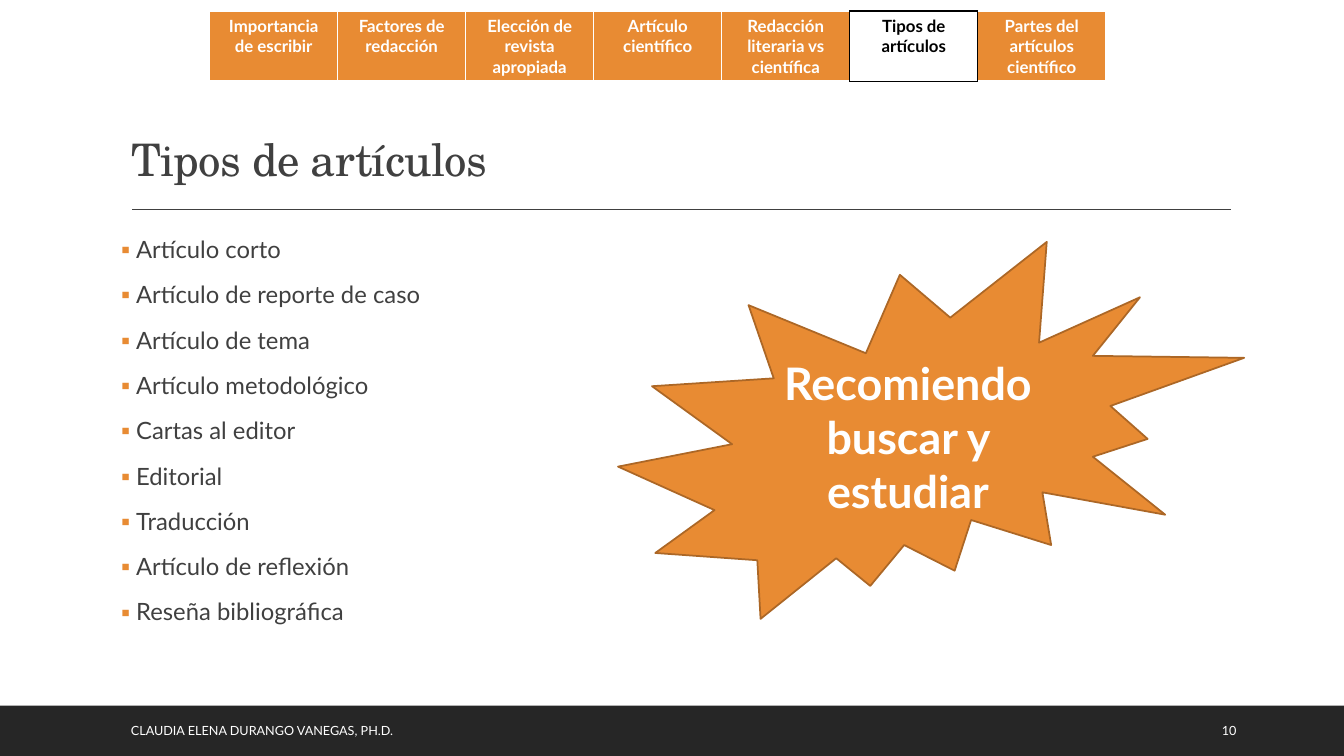
from dataclasses import dataclass

import pptx
import pptx.dml.color
import pptx.enum.shapes
import pptx.enum.text
import pptx.oxml
import pptx.oxml.ns
import pptx.util

Inches = pptx.util.Inches
Pt = pptx.util.Pt
RGB = pptx.dml.color.RGBColor.from_string
Shapes = pptx.enum.shapes.MSO_SHAPE
Align = pptx.enum.text.PP_ALIGN
Anchor = pptx.enum.text.MSO_ANCHOR


@dataclass(frozen=True)
class Theme:
    accent: str = "E88B33"
    accent_dark: str = "AC6726"
    ink: str = "404040"
    bar: str = "262626"
    white: str = "FFFFFF"
    black: str = "000000"
    heading_font: str = "TeX Gyre Schola"
    body_font: str = "Lato"
    heading_size: float = 32
    list_size: float = 17
    tab_size: float = 12
    footer_size: float = 9


@dataclass(frozen=True)
class Box:
    left: float
    top: float
    width: float
    height: float

    def lengths(self) -> tuple:
        return tuple(Inches(v) for v in (self.left, self.top, self.width, self.height))


@dataclass(frozen=True)
class FooterText:
    text: str
    box: Box


THEME = Theme()
TABS = [
    "Importancia de escribir",
    "Factores de redacción",
    "Elección de revista apropiada",
    "Artículo científico",
    "Redacción literaria vs científica",
    "Tipos de artículos",
    "Partes del artículos científico",
]
CURRENT_TAB = 5
ARTICLE_TYPES = [
    "Artículo corto",
    "Artículo de reporte de caso",
    "Artículo de tema",
    "Artículo metodológico",
    "Cartas al editor",
    "Editorial",
    "Traducción",
    "Artículo de reflexión",
    "Reseña bibliográfica",
]
FOOTERS = [
    FooterText("CLAUDIA ELENA DURANGO VANEGAS, PH.D.", Box(1.2, 7.05, 7.46, 0.4)),
    FooterText("10", Box(12.02, 7.05, 0.85, 0.4)),
]


def add_span(para, text: str, size: float, color: str, bold: bool = False,
             font: str = THEME.body_font):
    span = para.add_run()
    span.text = text
    span.font.name = font
    span.font.size = Pt(size)
    span.font.bold = bold
    span.font.color.rgb = RGB(color)
    return span


def place(shape, box: Box) -> None:
    shape.left, shape.top, shape.width, shape.height = box.lengths()


def add_filled_shape(page, kind, box: Box, fill: str):
    shape = page.shapes.add_shape(kind, *box.lengths())
    shape.shadow.inherit = False
    shape.fill.solid()
    shape.fill.fore_color.rgb = RGB(fill)
    shape.line.fill.background()
    return shape


def add_rule(page) -> None:
    rule = page.shapes.add_connector(
        pptx.enum.shapes.MSO_CONNECTOR.STRAIGHT,
        Inches(1.31), Inches(2.08), Inches(12.21), Inches(2.08))
    rule.line.color.rgb = RGB(THEME.ink)
    rule.line.width = Pt(1)
    pptx.oxml.ns.qn("a:effectLst")
    rule._element.spPr.append(pptx.oxml.parse_xml(
        f'<a:effectLst {pptx.oxml.ns.nsdecls("a")}/>'))


def fill_title(page) -> None:
    title = page.shapes.title
    place(title, Box(1.2, 0.31, 11, 1.59))
    frame = title.text_frame
    frame.auto_size = pptx.enum.text.MSO_AUTO_SIZE.NONE
    frame.vertical_anchor = Anchor.BOTTOM
    para = frame.paragraphs[0]
    para.alignment = Align.LEFT
    para.line_spacing = 0.9
    span = add_span(para, "Tipos de artículos", THEME.heading_size, THEME.ink,
                    font=THEME.heading_font)
    span._r.get_or_add_rPr().set("spc", "-50")


def set_bullet(para, indent: float) -> None:
    props = para._p.get_or_add_pPr()
    props.set("marL", str(Inches(indent)))
    props.set("indent", str(-Inches(indent)))
    names = pptx.oxml.ns.nsdecls("a")
    props.append(pptx.oxml.parse_xml(
        f'<a:buClr {names}><a:srgbClr val="{THEME.accent}"/></a:buClr>'))
    props.append(pptx.oxml.parse_xml(f'<a:buFont {names} typeface="{THEME.body_font}"/>'))
    props.append(pptx.oxml.parse_xml(f'<a:buChar {names} char="▪"/>'))


def fill_list(page) -> None:
    body = page.placeholders[1]
    place(body, Box(1.2, 2.31, 11, 4.11))
    frame = body.text_frame
    frame.auto_size = pptx.enum.text.MSO_AUTO_SIZE.NONE
    frame.margin_left = frame.margin_right = 0
    for index, article_type in enumerate(ARTICLE_TYPES):
        para = frame.add_paragraph() if index else frame.paragraphs[0]
        para.line_spacing = 0.9
        para.space_before = Pt(12)
        para.space_after = Pt(2)
        set_bullet(para, 0.15)
        add_span(para, article_type, THEME.list_size, THEME.ink)


def add_burst(page) -> None:
    burst = add_filled_shape(page, Shapes.EXPLOSION2, Box(6.13, 2.4, 6.21, 3.74), THEME.accent)
    burst.line.color.rgb = RGB(THEME.accent_dark)
    burst.line.width = Pt(1.25)
    burst.text_frame.word_wrap = True
    burst.text_frame.vertical_anchor = Anchor.MIDDLE
    para = burst.text_frame.paragraphs[0]
    para.alignment = Align.CENTER
    add_span(para, "Recomiendo buscar y estudiar", THEME.heading_size, THEME.white, bold=True)


def set_border(cell, side: str, color: str, width: float) -> None:
    cell._tc.get_or_add_tcPr().append(pptx.oxml.parse_xml(
        f'<a:ln{side} {pptx.oxml.ns.nsdecls("a")} w="{Pt(width)}">'
        f'<a:solidFill><a:srgbClr val="{color}"/></a:solidFill></a:ln{side}>'))


def add_tabs(page) -> None:
    frame = page.shapes.add_table(1, len(TABS), *Box(2.08, 0.11, 8.89, 0.7).lengths())
    table = frame.table
    table.first_row = table.horz_banding = False
    for index, label in enumerate(TABS):
        table.columns[index].width = Inches(1.27)
        cell = table.cell(0, index)
        current = index == CURRENT_TAB
        outlined = {
            "L": current or index == CURRENT_TAB + 1,
            "R": current or index == CURRENT_TAB - 1,
            "T": current,
            "B": current,
        }
        for side, dark in outlined.items():
            width = 3 if side == "B" and not dark else 1
            set_border(cell, side, THEME.black if dark else THEME.white, width)
        cell.fill.solid()
        cell.fill.fore_color.rgb = RGB(THEME.white if current else THEME.accent)
        para = cell.text_frame.paragraphs[0]
        para.alignment = Align.CENTER
        add_span(para, label, THEME.tab_size, THEME.black if current else THEME.white, bold=True)


def add_footer(page, footer: FooterText) -> None:
    frame = page.shapes.add_textbox(*footer.box.lengths()).text_frame
    frame.word_wrap = True
    frame.vertical_anchor = Anchor.MIDDLE
    add_span(frame.paragraphs[0], footer.text, THEME.footer_size, THEME.white)


def main() -> None:
    deck = pptx.Presentation()
    deck.slide_width, deck.slide_height = Inches(13.33), Inches(7.5)
    page = deck.slides.add_slide(deck.slide_layouts[1])
    add_filled_shape(page, Shapes.RECTANGLE, Box(0, 7, 13.33, 0.5), THEME.bar)
    add_rule(page)
    fill_title(page)
    fill_list(page)
    add_burst(page)
    add_tabs(page)
    for footer in FOOTERS:
        add_footer(page, footer)
    deck.save("out.pptx")


if __name__ == "__main__":
    main()
